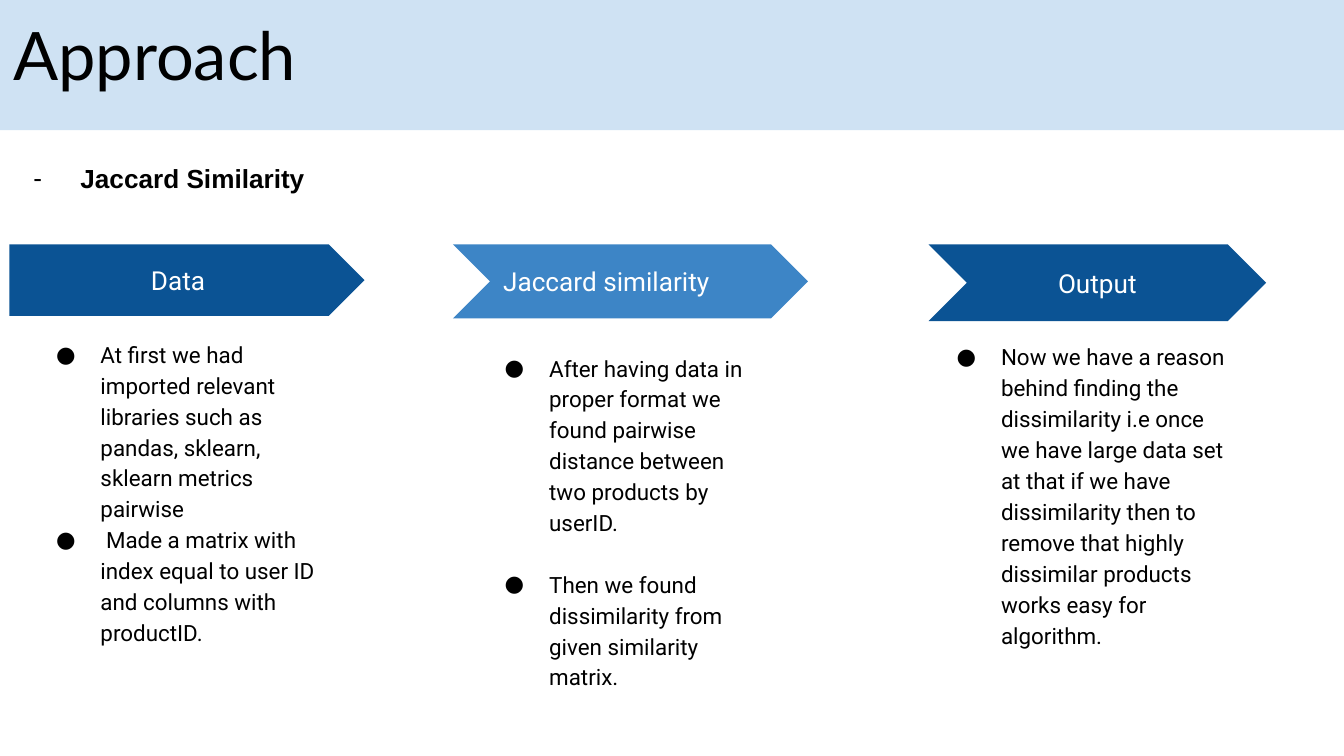
from lxml.etree import SubElement
from pptx import Presentation
from pptx.dml.color import RGBColor
from pptx.enum.shapes import MSO_SHAPE
from pptx.enum.text import MSO_ANCHOR, MSO_AUTO_SIZE, PP_ALIGN
from pptx.oxml.ns import qn
from pptx.util import Cm, Pt

NAVY, BLUE, PALE = "0B5394", "3D85C6", "CFE2F3"
BLACK, WHITE = "000000", "FFFFFF"
ARROW_TOP = 4.62

# Each step: label, shape, fill, alignment, arrow (left, width, height),
# notes box (left, top, width, height), gap between notes in points, notes
STEPS = [
    ("Data", MSO_SHAPE.PENTAGON, NAVY, PP_ALIGN.CENTER,
     (0.18, 6.71, 1.35), (0.38, 6.12, 6.2, 7.52), 0,
     ["At first we had imported relevant libraries such as pandas, sklearn, "
      "sklearn metrics pairwise",
      " Made a matrix with index equal to user ID and columns with productID."]),
    ("Jaccard similarity", MSO_SHAPE.CHEVRON, BLUE, PP_ALIGN.JUSTIFY,
     (8.56, 6.71, 1.4), (8.86, 6.38, 5.72, 7.26), 16.5,
     ["After having data in proper format we found pairwise distance between "
      "two products by userID.",
      "Then we found dissimilarity from given similarity matrix."]),
    ("Output", MSO_SHAPE.CHEVRON, NAVY, PP_ALIGN.CENTER,
     (17.55, 6.38, 1.45), (17.4, 6.17, 6.22, 7.92), 0,
     ["Now we have a reason behind finding the dissimilarity i.e once we have "
      "large data set at that if we have dissimilarity then to remove that "
      "highly dissimilar products works easy for algorithm."]),
]


def rgb(value):
    return RGBColor.from_string(value)


def set_bullet(p, char, font, indent):
    """Give the paragraph a hanging bullet; call after its spacing is set."""
    pPr = p._p.get_or_add_pPr()
    pPr.set("marL", str(Cm(1.27)))
    pPr.set("indent", str(-Cm(indent)))
    color = SubElement(pPr, qn("a:buClr"))
    SubElement(color, qn("a:srgbClr"), val=BLACK)
    SubElement(pPr, qn("a:buFont"), typeface=font)
    SubElement(pPr, qn("a:buChar"), char=char)


class SlideBuilder:
    """Holds the text styles and the slide being built."""

    styles = {
        "title": {"name": "Lato", "size": Pt(35.8), "color": BLACK},
        "heading": {"name": "Arial", "size": Pt(14), "bold": True, "color": BLACK},
        "arrow": {"name": "Roboto", "size": Pt(14), "color": WHITE},
        "notes": {"name": "Roboto", "size": Pt(12), "color": BLACK},
    }

    def __init__(self, slide):
        self.s = slide

    def frame(self, sp, anchor=MSO_ANCHOR.TOP):
        tf = sp.text_frame
        frame_format = {"word_wrap": True, "auto_size": MSO_AUTO_SIZE.NONE,
                        "vertical_anchor": anchor}
        for side in ("left", "top", "right", "bottom"):
            frame_format[f"margin_{side}"] = Cm(0.25)
        for name, value in frame_format.items():
            setattr(tf, name, value)
        return tf

    def add_text(self, p, text, style, align=PP_ALIGN.LEFT):
        p.alignment = align
        r = p.add_run()
        r.text = text
        for name, value in self.styles[style].items():
            if name == "color":
                r.font.color.rgb = rgb(value)
            else:
                setattr(r.font, name, value)

    def title(self, text, box, fill):
        sp = self.s.shapes.title
        sp.left, sp.top, sp.width, sp.height = map(Cm, box)
        sp.fill.solid()
        sp.fill.fore_color.rgb = rgb(fill)
        self.add_text(self.frame(sp).paragraphs[0], text, "title")

    def heading(self, text, box):
        tf = self.frame(self.s.shapes.add_textbox(*map(Cm, box)))
        tf.auto_size = MSO_AUTO_SIZE.SHAPE_TO_FIT_TEXT
        p = tf.paragraphs[0]
        self.add_text(p, text, "heading")
        set_bullet(p, "-", "Arial", 0.89)

    def arrow(self, group, kind, label, box, fill, align):
        sp = group.shapes.add_shape(kind, *map(Cm, box))
        sp.shadow.inherit = False
        sp.fill.solid()
        sp.fill.fore_color.rgb = rgb(fill)
        sp.line.fill.background()
        tf = self.frame(sp, MSO_ANCHOR.MIDDLE)
        self.add_text(tf.paragraphs[0], label, "arrow", align)

    def notes(self, group, items, box, gap):
        tf = self.frame(group.shapes.add_textbox(*map(Cm, box)))
        for i, text in enumerate(items):
            p = tf.add_paragraph() if i else tf.paragraphs[0]
            p.line_spacing = 1.15
            p.space_before = Pt(gap if i else 0)
            self.add_text(p, text, "notes")
            set_bullet(p, "●", "Roboto", 0.84)

    def step(self, label, kind, fill, align, arrow, notes_box, gap, items):
        group = self.s.shapes.add_group_shape()
        left, width, height = arrow
        self.arrow(group, kind, label, (left, ARROW_TOP, width, height), fill, align)
        self.notes(group, items, notes_box, gap)


def main():
    prs = Presentation()
    prs.slide_width, prs.slide_height = Cm(25.4), Cm(14.29)
    builder = SlideBuilder(prs.slides.add_slide(prs.slide_layouts[5]))
    builder.title("Approach", (0, 0, 25.4, 2.46), PALE)
    for step in STEPS:
        builder.step(*step)
    builder.heading("Jaccard Similarity", (0, 2.82, 24.64, 1.12))
    prs.save("out.pptx")


if __name__ == "__main__":
    main()
